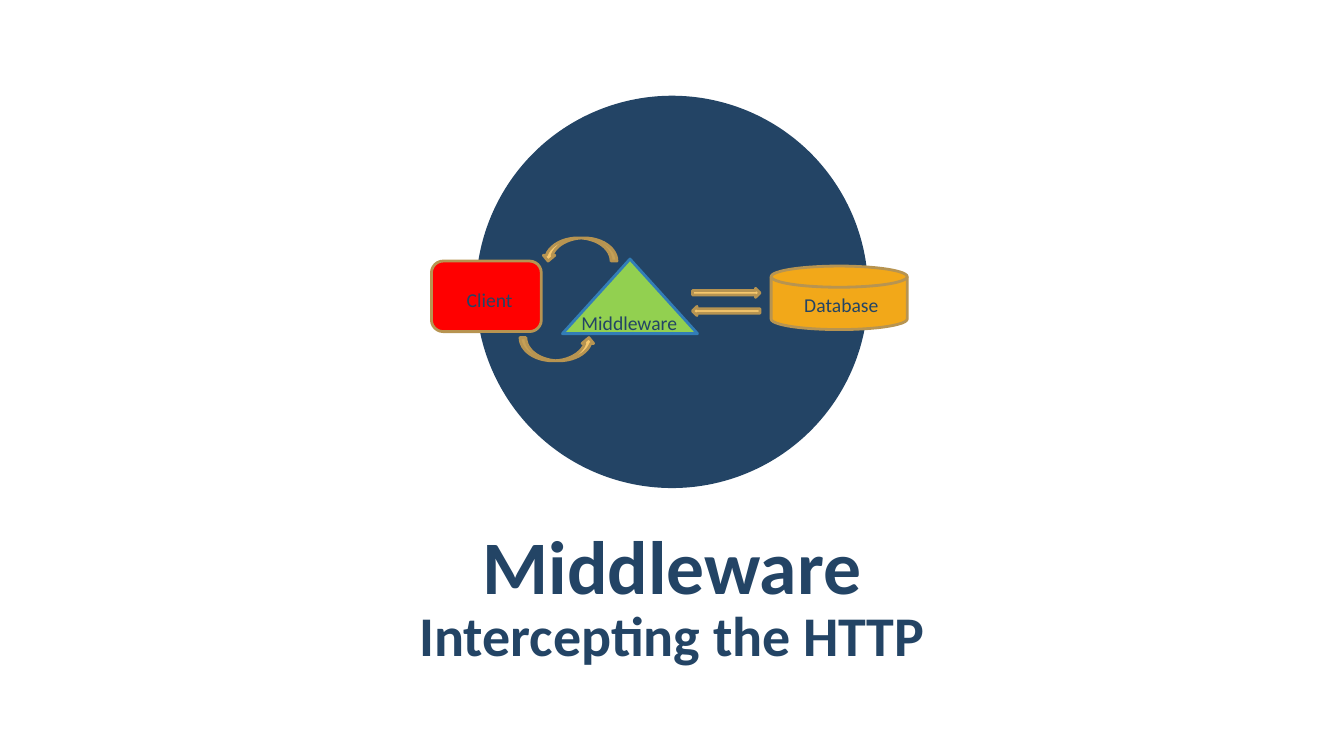
import pptx
import pptx.dml.color
import pptx.enum.shapes
import pptx.enum.text
import pptx.util

SHAPE = pptx.enum.shapes.MSO_SHAPE
ALIGN = pptx.enum.text.PP_ALIGN
ANCHOR = pptx.enum.text.MSO_ANCHOR

WIDTH, HEIGHT = pptx.util.Inches(13.333), pptx.util.Inches(7.5)
COLUMNS, ROWS = 160, 90
FONT = "Calibri"
COLORS = {
    "navy": "234465",
    "green": "92D050",
    "blue": "327DB7",
    "orange": "F2A819",
    "bronze": "B79451",
    "sand": "F7C86D",
    "red": "FF0000",
}


def rgb(name):
    return pptx.dml.color.RGBColor.from_string(COLORS[name])


def place(column, row, columns, rows):
    """Turn a box in grid units into left, top, width and height."""
    return (
        round(column * WIDTH / COLUMNS),
        round(row * HEIGHT / ROWS),
        round(columns * WIDTH / COLUMNS),
        round(rows * HEIGHT / ROWS),
    )


def write(frame, text, size=14, bold=False, align=ALIGN.LEFT, anchor=ANCHOR.TOP,
          line_spacing=1.0, gap=0, inset=(0.1, 0.05)):
    frame.word_wrap = True
    frame.auto_size = pptx.enum.text.MSO_AUTO_SIZE.NONE
    frame.vertical_anchor = anchor
    frame.margin_left = frame.margin_right = pptx.util.Inches(inset[0])
    frame.margin_top = frame.margin_bottom = pptx.util.Inches(inset[1])
    paragraph = frame.paragraphs[0]
    paragraph.alignment = align
    paragraph.line_spacing = line_spacing
    paragraph.space_before = paragraph.space_after = pptx.util.Pt(gap)
    run = paragraph.add_run()
    run.text = text
    run.font.name = FONT
    run.font.size = pptx.util.Pt(size)
    run.font.bold = bold
    run.font.color.rgb = rgb("navy")


def add_heading(placeholder, text, box, size):
    (placeholder.left, placeholder.top,
     placeholder.width, placeholder.height) = place(*box)
    write(placeholder.text_frame, text, size=size, bold=True, align=ALIGN.CENTER,
          anchor=ANCHOR.MIDDLE, line_spacing=1.05, gap=6, inset=(0.12, 0.04))


def add_figure(shapes, kind, box, fill, line=None, rotation=0):
    figure = shapes.add_shape(kind, *place(*box))
    figure.shadow.inherit = False
    figure.rotation = rotation
    figure.fill.solid()
    figure.fill.fore_color.rgb = rgb(fill)
    if line:
        figure.line.color.rgb = rgb(line)
        figure.line.width = pptx.util.Pt(2)
    else:
        figure.line.fill.background()


def add_label(shapes, text, box):
    write(shapes.add_textbox(*place(*box)).text_frame, text)


def add_diagram(slide):
    diagram = slide.shapes.add_group_shape().shapes
    add_figure(diagram, SHAPE.FLOWCHART_EXTRACT, (66.96, 30.84, 16.08, 8.88),
               "green", "blue")
    add_figure(diagram, SHAPE.FLOWCHART_MAGNETIC_DISK, (91.8, 31.68, 16.2, 7.56),
               "orange", "bronze")
    for row, rotation in ((30.84, 90), (33, 270)):
        add_figure(diagram, SHAPE.UP_ARROW, (85.92, row, 1.08, 8.04),
                   "sand", "bronze", rotation)
    add_figure(diagram, SHAPE.FLOWCHART_ALTERNATE_PROCESS,
               (51.36, 31.08, 13.08, 8.4), "red", "bronze")
    for column, row, rotation in ((61.92, 40.2, 0), (64.56, 28.32, 180)):
        add_figure(diagram, SHAPE.CURVED_UP_ARROW, (column, row, 8.88, 2.76),
                   "sand", "bronze", rotation)
    add_label(diagram, "Client", (54.36, 33.72, 10.56, 3.24))
    add_label(diagram, "Middleware", (68.04, 36.48, 14.16, 4.08))
    add_label(diagram, "Database", (94.56, 34.32, 13.44, 3.24))


def main():
    deck = pptx.Presentation()
    deck.slide_width, deck.slide_height = WIDTH, HEIGHT
    slide = deck.slides.add_slide(deck.slide_layouts[0])
    title, subtitle = slide.placeholders

    diameter = 46.7
    add_figure(slide.shapes, SHAPE.OVAL,
               ((COLUMNS - diameter) / 2, 11.4, diameter, diameter), "navy")
    add_heading(title, "Middleware", (8, 61.8, 144, 10.1), 54)
    add_heading(subtitle, "Intercepting the HTTP", (8, 72, 144, 6.6), 40)
    add_diagram(slide)
    deck.save("out.pptx")


if __name__ == "__main__":
    main()
